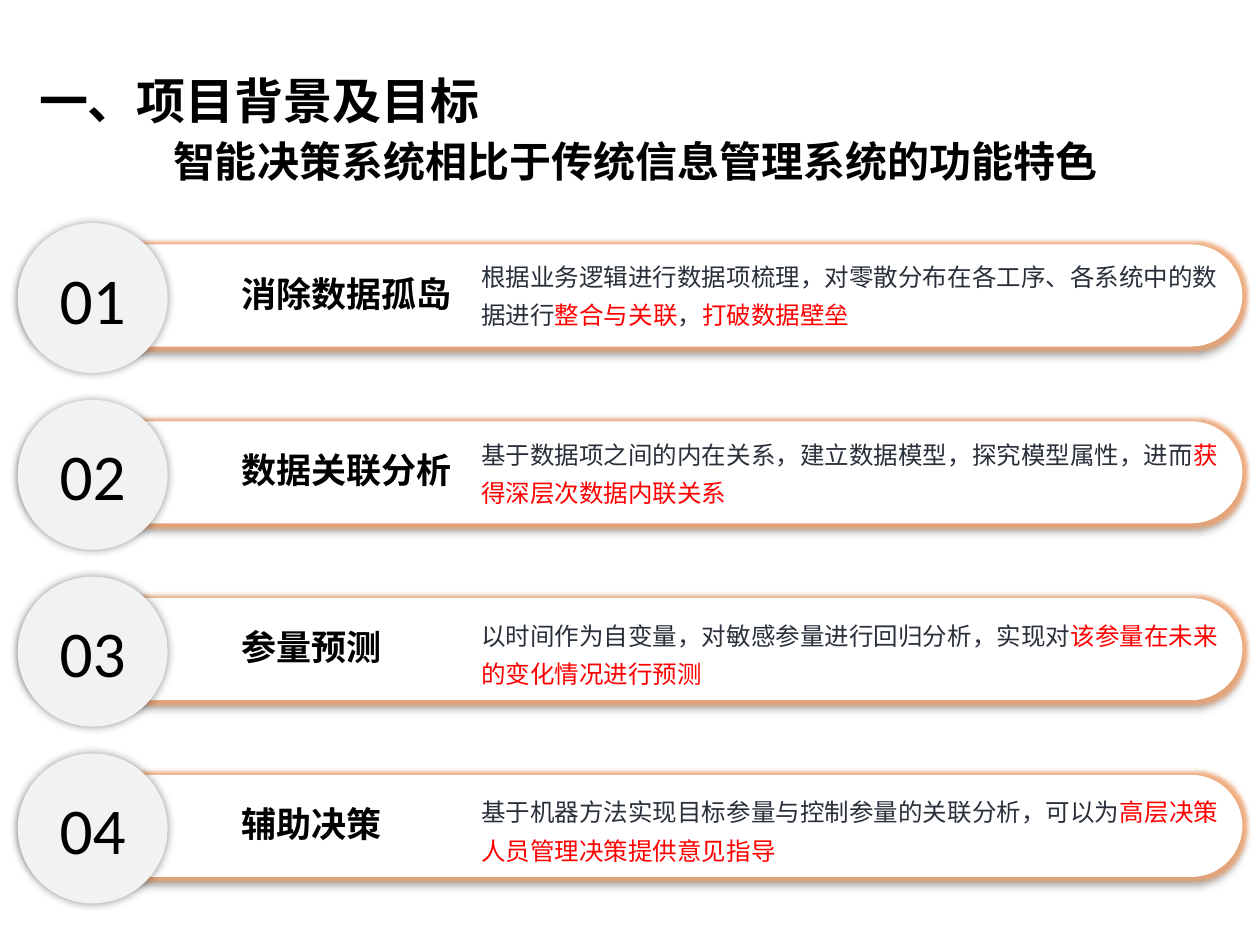
"""Build a slide listing four features of an intelligent decision system."""
from lxml import etree
from pptx import Presentation
from pptx.dml.color import RGBColor
from pptx.enum.shapes import MSO_SHAPE
from pptx.enum.text import MSO_ANCHOR, MSO_AUTO_SIZE, PP_ALIGN
from pptx.oxml.ns import qn
from pptx.util import Inches, Pt

ROUNDED = MSO_SHAPE.ROUNDED_RECTANGLE
OVAL = MSO_SHAPE.OVAL
MIDDLE = MSO_ANCHOR.MIDDLE
TOP = MSO_ANCHOR.TOP
NO_FIT = MSO_AUTO_SIZE.NONE
LEFT = PP_ALIGN.LEFT
CENTER = PP_ALIGN.CENTER

CHINESE_FONT = "Noto Sans CJK SC"
LATIN_FONT = "Calibri"
BLACK = "000000"
WHITE = "FFFFFF"
GRAY = "F2F2F2"
SLATE = "29303A"
RED = "FF0000"
ORANGE = "F4A36C"

FIRST_TOP = 1.77
LAST_TOP = 5.98
FEATURES = [
    ("消除数据孤岛", 0.19, [
        ("根据业务逻辑进行数据项梳理，对零散分布在各工序、各系统中的数据进行", SLATE),
        ("整合与关联", RED), ("，", SLATE), ("打破数据壁垒", RED)]),
    ("数据关联分析", 0.2, [
        ("基于数据项之间的内在关系，建立数据模型，探究模型属性，进而", SLATE),
        ("获得深层次数据内联关系", RED)]),
    ("参量预测", 0.23, [
        ("以时间作为自变量，对敏感参量进行回归分析，实现对", SLATE),
        ("该参量在未来的变化情况进行预测", RED)]),
    ("辅助决策", 0.23, [
        ("基于机器方法实现目标参量与控制参量的关联分析，可以为", SLATE),
        ("高层决策人员管理决策提供意见指导", RED)]),
]


def color(value):
    """Turn a hex string into a colour."""
    return RGBColor.from_string(value)


def place(shape, left, top, width, height):
    """Move and size a shape, in inches."""
    shape.left, shape.top = Inches(left), Inches(top)
    shape.width, shape.height = Inches(width), Inches(height)


def write(shape, pieces, size, font=CHINESE_FONT, bold=False, align=LEFT,
          anchor=TOP, spacing=1.0):
    """Write one paragraph of (text, colour) pieces into a shape."""
    frame = shape.text_frame
    frame.word_wrap = True
    frame.auto_size = NO_FIT
    frame.vertical_anchor = anchor
    paragraph = frame.paragraphs[0]
    paragraph.alignment = align
    paragraph.line_spacing = spacing
    for text, shade in pieces:
        run = paragraph.add_run()
        run.text = text
        run.font.size = Pt(size)
        run.font.bold = bold
        run.font.name = font
        run.font.color.rgb = color(shade)
        east_asian = etree.SubElement(run.font._element, qn("a:ea"))
        east_asian.set("typeface", CHINESE_FONT)


def add_text(slide, box, pieces, size, **style):
    """Add a text box."""
    shape = slide.shapes.add_textbox(*map(Inches, box))
    write(shape, pieces, size, **style)


def add_effect(effects, tag, shade, alpha, **attributes):
    """Append a coloured effect to an effect list."""
    effect = etree.SubElement(effects, qn(tag))
    for name, value in attributes.items():
        effect.set(name, str(value))
    tint = etree.SubElement(effect, qn("a:srgbClr"), val=shade)
    etree.SubElement(tint, qn("a:alpha"), val=str(alpha * 1000))


def add_panel(slide, kind, box, fill, blur, distance, glow=None):
    """Add a borderless shape with a soft shadow and an optional glow."""
    shape = slide.shapes.add_shape(kind, *map(Inches, box))
    shape.fill.solid()
    shape.fill.fore_color.rgb = color(fill)
    shape.line.fill.background()
    shape.shadow.inherit = False
    effects = shape._element.spPr.find(qn("a:effectLst"))
    if glow:
        add_effect(effects, "a:glow", glow, 80, rad=Pt(4))
    add_effect(effects, "a:outerShdw", BLACK, 40, blurRad=Pt(blur),
               dist=Pt(distance), dir=135 * 60000 if distance else 0,
               algn="ctr", rotWithShape=0)
    return shape


def add_feature(slide, number, top, name, text_offset, pieces):
    """Add a numbered feature row."""
    bar = add_panel(slide, ROUNDED, (0.21, top + 0.17, 9.65, 0.81), WHITE, 4, 3, ORANGE)
    bar.adjustments[0] = 0.5
    add_text(slide, (3.72, top + text_offset, 6.12, 0.71), pieces, 14, spacing=1.3)
    add_text(slide, (1.82, top + 0.34, 1.97, 0.44), [(name, BLACK)], 20,
             font=LATIN_FONT, bold=True)
    circle = add_panel(slide, OVAL, (0.14, top, 1.19, 1.19), GRAY, 5, 0)
    write(circle, [(f"{number:02}", BLACK)], 37.3, font=LATIN_FONT,
          align=CENTER, anchor=MIDDLE)


def main():
    """Build and save the slide."""
    presentation = Presentation()
    presentation.slide_width = Inches(10)
    presentation.slide_height = Inches(7.5)
    slide = presentation.slides.add_slide(presentation.slide_layouts[5])
    title = slide.shapes.title
    place(title, 0.21, 0.28, 9.65, 0.84)
    write(title, [("一、项目背景及目标", BLACK)], 28, bold=True, anchor=MIDDLE, spacing=1.4)
    step = (LAST_TOP - FIRST_TOP) / (len(FEATURES) - 1)
    for index, feature in enumerate(FEATURES):
        add_feature(slide, index + 1, FIRST_TOP + index * step, *feature)
    add_text(slide, (0.82, 1.03, 8.44, 0.5),
             [("智能决策系统相比于传统信息管理系统的功能特色", BLACK)], 24,
             bold=True, align=CENTER)
    presentation.save("out.pptx")


if __name__ == "__main__":
    main()
